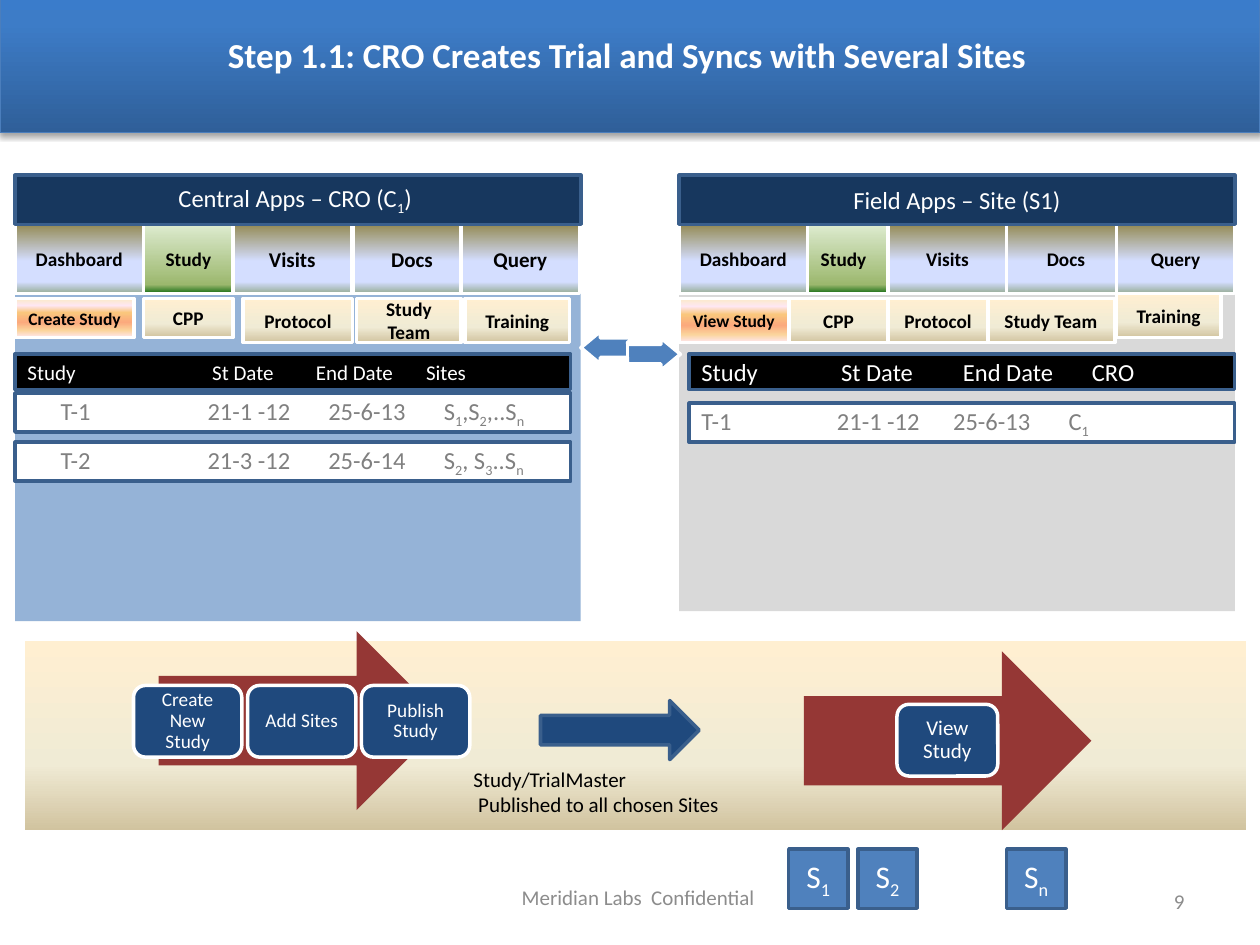
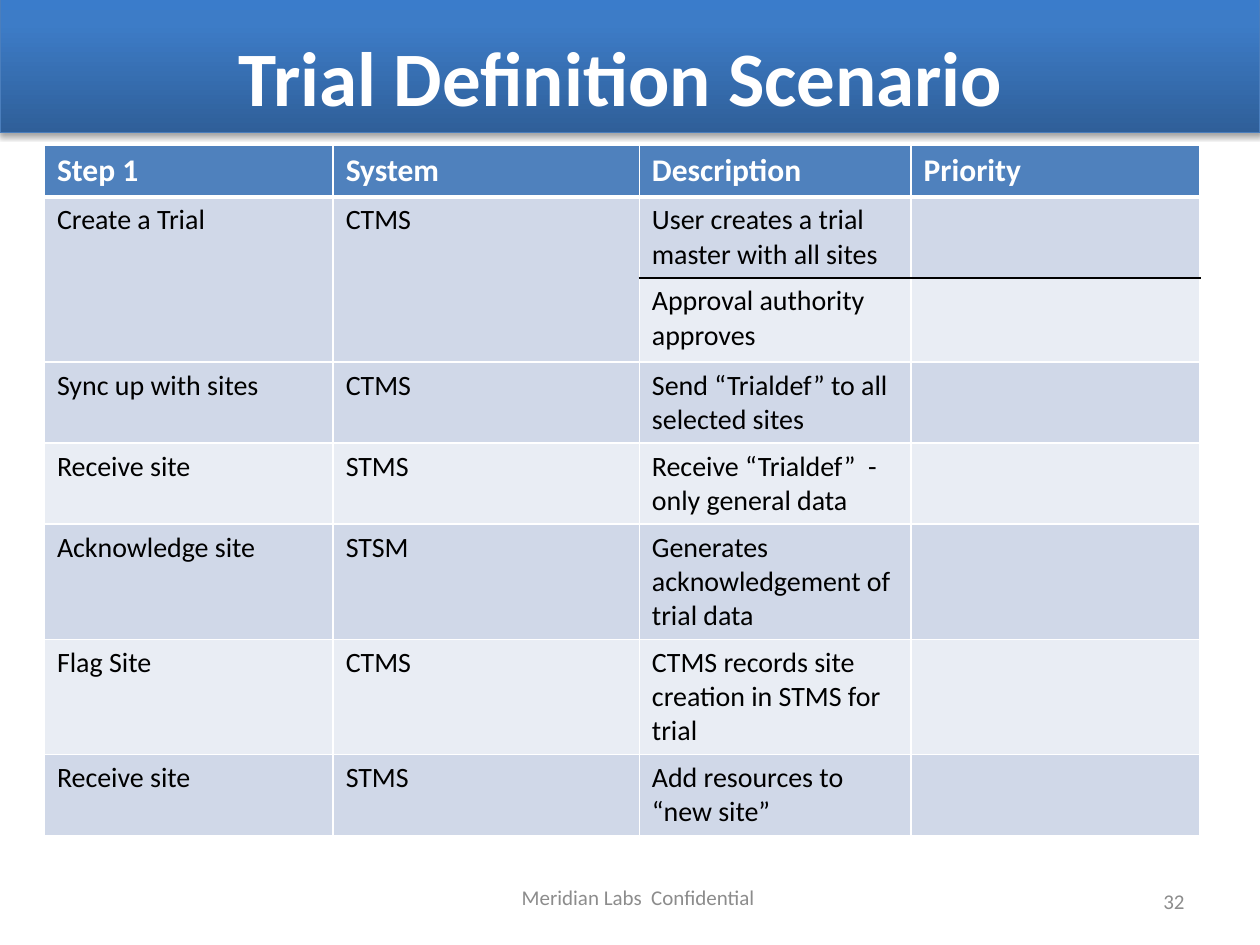
from lxml.etree import SubElement
from pptx import Presentation
from pptx.dml.color import RGBColor
from pptx.enum.shapes import MSO_SHAPE
from pptx.enum.text import MSO_ANCHOR, PP_ALIGN
from pptx.oxml.ns import qn
from pptx.util import Pt

color = RGBColor.from_string

WHITE, BLACK, GREY = "FFFFFF", "000000", "8C8C8C"
NAVY, EDGE, BLUE, STEP_BLUE, RED = "17375E", "3A5F8C", "4F81BD", "1F497D", "953735"
# Gradients run from top to bottom: (percent, colour)
BAND = [(0, "3A7CCB"), (20, "3D7CC7"), (100, "2F5F99")]
OLIVE = [(0, "948A54"), (53, "D4DEFF"), (83, "D4DEFF"), (100, "96AB94")]
GREEN = [(0, "DDEBCF"), (87, "9CB86E"), (100, "156B13")]
SAND = [(0, "FFEFD1"), (65, "F0EBD5"), (100, "D1C39F")]
PEACH = [(0, "FBEAC7"), (18, "FEE7F2"), (36, "FAC77D"),
         (61, "FBA97D"), (82, "FBD49C"), (100, "FEE7F2")]


def write(frame, text, size, ink, bold=False, align=PP_ALIGN.CENTER, tabs=(), **layout):
    """Fill a text frame; the character after an underscore is a subscript."""
    settings = {"word_wrap": True, "vertical_anchor": MSO_ANCHOR.MIDDLE, **layout}
    for name, value in settings.items():
        setattr(frame, name, value)
    for number, line in enumerate(text.split("\n")):
        paragraph = frame.add_paragraph() if number else frame.paragraphs[0]
        paragraph.alignment = align
        if tabs:
            stops = SubElement(paragraph._p.get_or_add_pPr(), qn("a:tabLst"))
            for stop in tabs:
                SubElement(stops, qn("a:tab"), pos=str(Pt(stop)), algn="l")
        first, *others = line.split("_")
        pieces = [(first, False)]
        for part in others:
            pieces += [(part[0], True), (part[1:], False)]
        for piece, is_subscript in pieces:
            if not piece:
                continue
            run = paragraph.add_run()
            run.text = piece
            for name, value in {"name": "Calibri", "size": Pt(size), "bold": bold}.items():
                setattr(run.font, name, value)
            run.font.color.rgb = color(ink)
            if is_subscript:
                run.font._element.set("baseline", "-25000")


def add_box(slide, place, fill, edge=None, edge_width=2, kind=MSO_SHAPE.RECTANGLE):
    """Add a shape with a plain (hex) or gradient (list of stops) fill."""
    box = slide.shapes.add_shape(kind, *map(Pt, place))
    box.shadow.inherit = False
    if isinstance(fill, str):
        box.fill.solid()
        box.fill.fore_color.rgb = color(fill)
    else:
        box.fill.gradient()
        box.fill.gradient_angle = 270
        stops = box._element.spPr.find(qn("a:gradFill")).find(qn("a:gsLst"))
        stops.clear()
        for percent, shade in fill:
            stop = SubElement(stops, qn("a:gs"), pos=str(percent * 1000))
            SubElement(stop, qn("a:srgbClr"), val=shade)
    if edge:
        box.line.color.rgb = color(edge)
        box.line.width = Pt(edge_width)
    else:
        box.line.fill.background()
    return box


deck = Presentation()
deck.slide_width, deck.slide_height = Pt(720), Pt(540)

# Band, title, footer and page number of every slide
slides = []
for title, title_place, title_size, page in [
    ("Step 1.1: CRO Creates Trial and Syncs with Several Sites ", (36.7, -13.7, 648, 90), 20, "9"),
    ("Trial Definition Scenario ", (36, 9.4, 648, 67.7), 44, "32"),
]:
    slide = deck.slides.add_slide(deck.slide_layouts[6])
    slides.append(slide)
    band = add_box(slide, (0, -2, 720, 77.8), BAND, "4B7EBC", 0.75)
    effects = band._element.spPr.find(qn("a:effectLst"))
    shadow = SubElement(effects, qn("a:outerShdw"), blurRad=str(Pt(3.1)), dist=str(Pt(1.8)),
                        dir="5400000", rotWithShape="0")
    SubElement(SubElement(shadow, qn("a:srgbClr"), val=BLACK), qn("a:alpha"), val="35000")
    for text, place, size, ink, bold, align in [
        (title, title_place, title_size, WHITE, True, PP_ALIGN.CENTER),
        ("Meridian Labs  Confidential", (250.6, 498.2, 228.2, 28.8), 12, GREY, False, PP_ALIGN.CENTER),
        (page, (516, 500.4, 168, 28.8), 12, GREY, False, PP_ALIGN.RIGHT),
    ]:
        write(slide.shapes.add_textbox(*map(Pt, place)).text_frame, text, size, ink, bold, align)
sync_slide, scenario_slide = slides

# Backgrounds: process strip, CRO panel, site panel
for place, fill in [
    ((14.4, 366.5, 697.7, 108), SAND),
    ((8.6, 128.2, 323.3, 226.8), "95B3D7"),
    ((388.1, 122.4, 317.5, 226.8), "D9D9D9"),
]:
    add_box(sync_slide, place, fill)

# Main menus
MENU_TOP, MENU_HEIGHT = 128.2, 39.6
for label, left, width, fill, size in [
    ("Dashboard", 8.6, 73.4, OLIVE, 11),
    ("Study", 82.1, 51.1, GREEN, 11),
    ("Docs", 201.6, 67.7, OLIVE, 12),
    ("Query", 263.5, 67.7, OLIVE, 12),
    ("Visits", 133.2, 67.7, OLIVE, 12),
    ("Study", 456.5, 51.1, GREEN, 11),
    ("Docs", 575.3, 67.7, OLIVE, 11),
    ("Query", 637.9, 67.7, OLIVE, 11),
    ("Visits", 507.6, 67.7, OLIVE, 11),
    ("Dashboard", 388.1, 73.4, OLIVE, 11),
]:
    item = add_box(sync_slide, (left, MENU_TOP, width, MENU_HEIGHT), fill, WHITE)
    write(item.text_frame, label, size, BLACK, True)

# Panel headings
for heading, left, width in [
    ("Central Apps – CRO (C_1) ", 8.6, 323.3),
    ("Field Apps – Site (S1)", 388.1, 317.5),
]:
    bar = add_box(sync_slide, (left, 100.1, width, 28.1), NAVY, EDGE)
    write(bar.text_frame, heading, 14, WHITE)

# Submenus
for label, left, top, width, height in [
    ("Create Study", 8.6, 170.6, 68, 22.3),
    ("CPP", 82.1, 170.6, 51.1, 22.3),
    ("Study Team", 203.8, 170.6, 59.8, 25.2),
    ("Protocol", 139, 170.6, 62.6, 25.2),
    ("Training", 265.7, 170.6, 59.8, 25.2),
    ("View Study", 388.1, 170.6, 62.6, 25.2),
    ("Study Team", 563.8, 170.6, 73.4, 25.2),
    ("Protocol", 507.6, 170.6, 56.9, 25.2),
    ("CPP", 450.7, 170.6, 56.9, 25.2),
    ("Training", 637.9, 167.8, 59.8, 25.2),
]:
    is_active = label in ("Create Study", "View Study")
    item = add_box(sync_slide, (left, top, width, height), PEACH if is_active else SAND, WHITE)
    write(item.text_frame, label, 10 if is_active else 11, BLACK, True)

# Study lists: columns are offsets from the left of the row
CRO_ROW, SITE_ROW = (8.6, 317.5), (393.8, 311.8)
for (left, width), top, height, fill, ink, size, columns, entries in [
    (CRO_ROW, 202.3, 20.2, BLACK, WHITE, 12, (7.2, 112.8, 172, 235),
     ("Study", "St Date", "End Date", "Sites")),
    (CRO_ROW, 224.6, 22.3, WHITE, "808080", 14, (26, 110, 179, 245),
     ("T-1", "21-1 -12", "25-6-13", "S_1,S_2,..S_n")),
    (CRO_ROW, 252.7, 22.3, WHITE, "808080", 14, (26, 110, 179, 245),
     ("T-2", "21-3 -12", "25-6-14", "S_2, S_3..S_n")),
    (SITE_ROW, 202.3, 20.2, BLACK, WHITE, 14, (7.2, 87, 156.6, 230.3),
     ("Study", "St Date", "End Date", "CRO")),
    (SITE_ROW, 230.4, 22.3, WHITE, "808080", 14, (7.2, 84.6, 151, 217),
     ("T-1", "21-1 -12", "25-6-13", "C_1")),
]:
    row = add_box(sync_slide, (left, top, width, height), fill, EDGE)
    write(row.text_frame, "\t".join(entries), size, ink, align=PP_ALIGN.LEFT,
          tabs=[column - columns[0] for column in columns[1:]], margin_left=Pt(columns[0]))

# Arrows: sync between panels, publishing, and the two processes
add_box(sync_slide, (331.9, 189.4, 56.9, 22.3), BLUE, WHITE, kind=MSO_SHAPE.LEFT_RIGHT_RIBBON)
for place, fill, edge in [
    ((308.9, 400.3, 90.7, 33.8), STEP_BLUE, EDGE),
    ((459.4, 372.2, 164.2, 102.2), RED, None),
    ((90.7, 360.7, 164.2, 102.2), RED, None),
]:
    add_box(sync_slide, place, fill, edge, kind=MSO_SHAPE.RIGHT_ARROW)

# Process steps
for label, left, top, width, size in [
    ("Create New Study", 76.3, 391.7, 61.9, 11),
    ("Add Sites", 141.5, 391.7, 61.9, 11),
    ("Publish Study", 206.6, 391.7, 61.9, 11),
    ("View Study", 512.6, 402.5, 57.6, 12),
]:
    step = add_box(sync_slide, (left, top, width, 41), STEP_BLUE, WHITE,
                   kind=MSO_SHAPE.ROUNDED_RECTANGLE)
    write(step.text_frame, label, size, WHITE, margin_left=Pt(5.4), margin_right=Pt(5.4))
    step.text_frame.paragraphs[0].line_spacing = 0.9

caption = sync_slide.shapes.add_textbox(Pt(263.5), Pt(434.2), Pt(156.2), Pt(36))
write(caption.text_frame, "Study/TrialMaster\n Published to all chosen Sites", 12, BLACK,
      align=PP_ALIGN.LEFT, word_wrap=False, vertical_anchor=MSO_ANCHOR.TOP)

for site, left in [("S_1", 450.7), ("S_2", 490.3), ("S_n", 575.3)]:
    site_box = add_box(sync_slide, (left, 485.3, 33.8, 33.8), BLUE, EDGE)
    write(site_box.text_frame, site, 18, WHITE)

# Scenario table
scenario = [
    ("Step 1", "System", "Description", "Priority"),
    ("Create a Trial", "CTMS", "User creates a trial master with all sites", ""),
    ("", "", "Approval authority approves", ""),
    ("Sync up with sites", "CTMS", "Send “Trialdef” to all selected sites", ""),
    ("Receive site", "STMS", "Receive “Trialdef”  - only general data", ""),
    ("Acknowledge site", "STSM", "Generates acknowledgement of trial data", ""),
    ("Flag Site", "CTMS", "CTMS records site creation in STMS for trial", ""),
    ("Receive site", "STMS", "Add resources to “new site”", ""),
]
row_heights = [29.5, 46.3, 48.2, 46.3, 46.3, 65.8, 65.8, 46.3]
column_widths = [165, 175, 155.3, 165]
table = scenario_slide.shapes.add_table(
    len(scenario), len(column_widths), Pt(25.4), Pt(83),
    Pt(sum(column_widths)), Pt(sum(row_heights))).table
for column, width in zip(table.columns, column_widths):
    column.width = Pt(width)

for row_number, entries in enumerate(scenario):
    table.rows[row_number].height = Pt(row_heights[row_number])
    is_header = row_number == 0
    fill = BLUE if is_header else ("E9EDF4", "D0D8E8")[row_number % 2]
    for column_number, entry in enumerate(entries):
        cell = table.cell(row_number, column_number)
        splits_trial = column_number > 1
        borders = {
            "L": (WHITE, 1),
            "R": (WHITE, 1),
            "T": (BLACK if row_number == 2 and splits_trial else WHITE, 3 if row_number == 1 else 1),
            "B": (BLACK if row_number == 1 and splits_trial else WHITE, 3 if is_header else 1),
        }
        for side, (shade, width) in borders.items():
            border = SubElement(cell._tc.get_or_add_tcPr(), qn(f"a:ln{side}"), w=str(Pt(width)))
            SubElement(SubElement(border, qn("a:solidFill")), qn("a:srgbClr"), val=shade)
        cell.fill.solid()
        cell.fill.fore_color.rgb = color(fill)
        if entry:
            write(cell.text_frame, entry, 18 if is_header else 16, WHITE if is_header else BLACK,
                  is_header, PP_ALIGN.LEFT, vertical_anchor=MSO_ANCHOR.TOP)
for column_number in (0, 1):
    table.cell(1, column_number).merge(table.cell(2, column_number))

deck.save("out.pptx")
